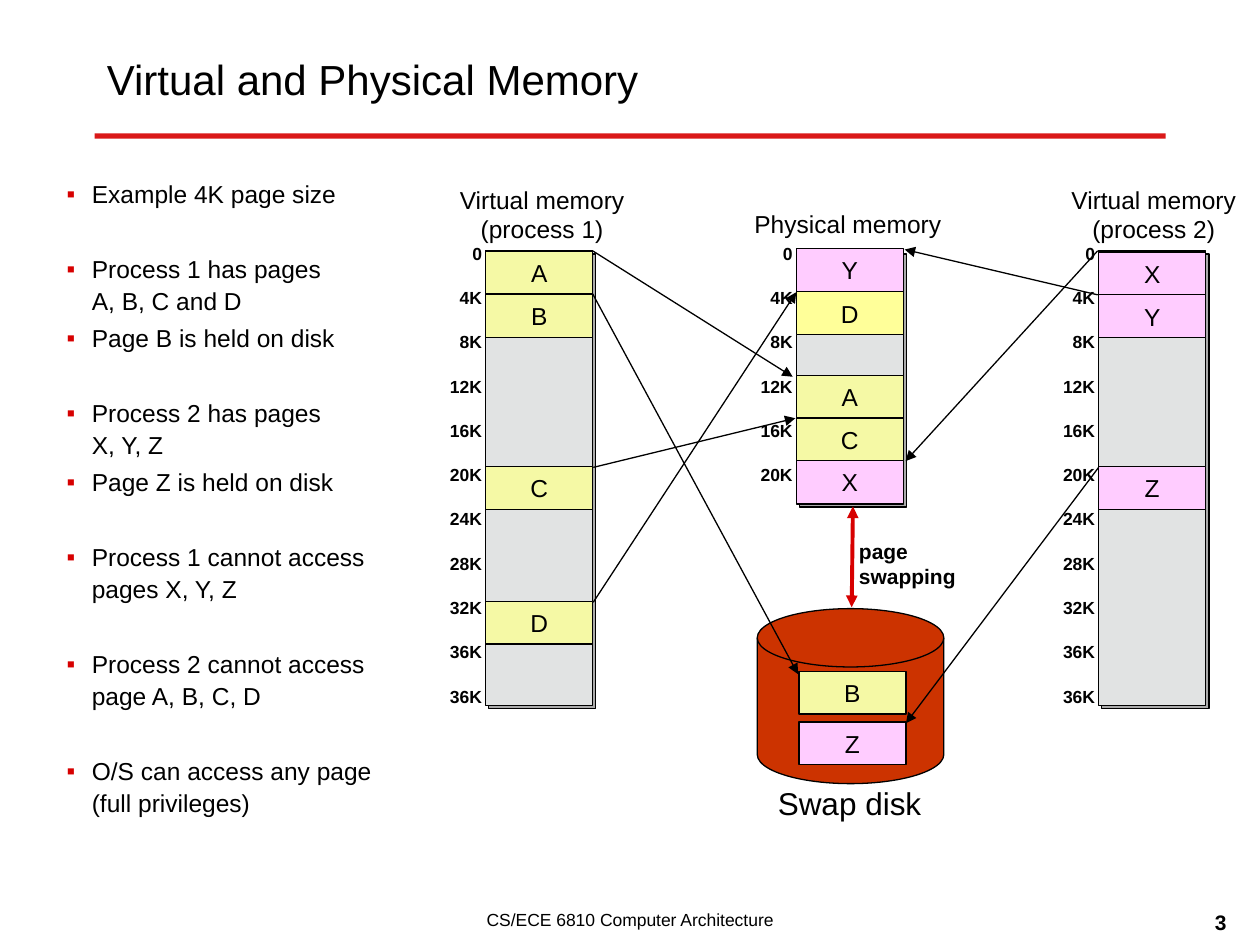
from lxml import etree
from pptx import Presentation
from pptx.dml.color import RGBColor
from pptx.enum.shapes import MSO_CONNECTOR as Connector, MSO_SHAPE as Shape
from pptx.enum.text import MSO_ANCHOR as Anchor, PP_ALIGN as Align
from pptx.oxml.ns import qn
from pptx.util import Pt

COLORS = {
    "ink": "000000", "red": "D70000", "disk": "CC3300",
    "shade": "ABABAB", "free": "E1E3E3",
    "process1": "F5F9A5", "held": "FFFF99", "process2": "FFCCFF",
}
FONT = "Arial"
PAGE_W, PAGE_H = 61.2, 24.5
MEMORY_TOP = 143.3
VIRTUAL_H, PHYSICAL_H = 260, 144.7
ADDRESSES = ["0", "4K", "8K", "12K", "16K", "20K", "24K", "28K", "32K", "36K", "36K"]
LABEL_TOP, LABEL_STEP = 135.2, 25.3
PROCESS1_X, PHYSICAL_X, PROCESS2_X, SWAP_X = 277.5, 455, 627.8, 456.5

# Each note is its text and whether it opens a new group.
NOTES = [
    ("Example 4K page size", False),
    ("Process 1 has pages \vA, B, C and D", True),
    ("Page B is held on disk", False),
    ("Process 2 has pages \vX, Y, Z", True),
    ("Page Z is held on disk", False),
    ("Process 1 cannot access pages X, Y, Z", True),
    ("Process 2 cannot access page A, B, C, D", True),
    ("O/S can access any page (full privileges)", True),
]
PAGES = [
    ("A", PROCESS1_X, 143.5, "process1"), ("B", PROCESS1_X, 168.3, "process1"),
    ("C", PROCESS1_X, 266.6, "process1"), ("D", PROCESS1_X, 343.6, "process1"),
    ("Y", PHYSICAL_X, 142, "process2"), ("D", PHYSICAL_X, 166.8, "held"),
    ("A", PHYSICAL_X, 214.5, "process1"), ("C", PHYSICAL_X, 238.9, "process1"),
    ("X", PHYSICAL_X, 263.1, "process2"),
    ("X", PROCESS2_X, 144, "process2"), ("Y", PROCESS2_X, 168.5, "process2"),
    ("Z", PROCESS2_X, 266.6, "process2"),
    ("B", SWAP_X, 383.6, "process1"), ("Z", SWAP_X, 412.6, "process2"),
]
MAPPINGS = [
    ((338.6, 143.3), (453, 215.3)), ((338.6, 167.8), (456, 385.2)),
    ((339, 267.1), (454.5, 239)), ((339, 344.2), (455, 167)),
    ((627.3, 143.3), (517.5, 263.5)), ((627.3, 168.5), (517, 142.6)),
    ((627.8, 267.1), (517.7, 413.3)),
]


def color(name):
    return RGBColor.from_string(COLORS[name])


def style(paragraph, size, bold=False, align=Align.LEFT):
    paragraph.alignment = align
    font = paragraph.font
    font.name, font.size, font.bold = FONT, Pt(size), bold
    font.color.rgb = color("ink")


def add_text(slide, box, lines, size, bold=False, align=Align.LEFT, anchor=Anchor.TOP):
    frame = slide.shapes.add_textbox(*map(Pt, box)).text_frame
    frame.word_wrap = True
    frame.vertical_anchor = anchor
    frame.text = lines
    for paragraph in frame.paragraphs:
        style(paragraph, size, bold, align)
    return frame


def add_block(slide, box, fill, kind=Shape.RECTANGLE):
    block = slide.shapes.add_shape(kind, *map(Pt, box))
    block.shadow.inherit = False
    block.fill.solid()
    block.fill.fore_color.rgb = color(fill)
    block.line.color.rgb = color("ink")
    block.line.width = Pt(0.75)
    return block


def add_page(slide, letter, left, top, fill):
    frame = add_block(slide, (left, top, PAGE_W, PAGE_H), fill).text_frame
    frame.margin_top = frame.margin_bottom = 0
    frame.vertical_anchor = Anchor.MIDDLE
    frame.text = letter
    style(frame.paragraphs[0], 14, align=Align.CENTER)


def add_memory(slide, left, height, addresses):
    """Draw an empty address space with its backing shade and address labels."""
    for offset, fill in ((1.8, "shade"), (0, "free")):
        add_block(slide, (left + offset, MEMORY_TOP + offset, PAGE_W, height), fill)
    for row, address in enumerate(addresses):
        label = (left - 45, LABEL_TOP + row * LABEL_STEP, 50, 19.4)
        add_text(slide, label, address, 10, True, Align.RIGHT)


def add_line(slide, start, end, ink="ink", width=0.75, heads=(), alpha=None):
    line = slide.shapes.add_connector(Connector.STRAIGHT, *map(Pt, start + end))
    line.line.color.rgb = color(ink)
    line.line.width = Pt(width)
    properties = line.line._get_or_add_ln()
    for head in heads:
        etree.SubElement(properties, qn(f"a:{head}"), type="triangle")
    if alpha:
        fill = properties.find(".//" + qn("a:srgbClr"))
        etree.SubElement(fill, qn("a:alpha"), val=str(alpha * 1000))
    etree.SubElement(line._element.spPr, qn("a:effectLst"))


def add_notes_list(slide):
    text = "\n".join(note for note, _ in NOTES)
    frame = add_text(slide, (31, 97.2, 204.5, 382.3), text, 14)
    for paragraph, (_, opens_group) in zip(frame.paragraphs, NOTES):
        paragraph.line_spacing = 1.1
        paragraph.space_before = Pt(24.2 if opens_group else 2.6)
        properties = paragraph._p.get_or_add_pPr()
        properties.set("marL", str(Pt(14.4)))
        properties.set("indent", str(-Pt(14.4)))
        bullet_color = etree.Element(qn("a:buClr"))
        etree.SubElement(bullet_color, qn("a:srgbClr"), val=COLORS["red"])
        bullet_font = etree.Element(qn("a:buFont"), typeface=FONT)
        bullet = etree.Element(qn("a:buChar"), char="▪")
        default_font = properties.find(qn("a:defRPr"))
        for part in (bullet_color, bullet_font, bullet):
            default_font.addprevious(part)


def add_swap_disk(slide):
    add_block(slide, (432.7, 347.8, 106.6, 100), "disk", Shape.FLOWCHART_MAGNETIC_DISK)
    add_text(slide, (426, 444.7, 119, 29), "Swap disk", 18, align=Align.CENTER)
    add_line(slide, (486.7, 347), (487.4, 289.4), "red", 2.25, ("headEnd", "tailEnd"))
    add_text(slide, (483.8, 304.2, 80, 36), "page\nswapping", 12, True)


def main():
    deck = Presentation()
    deck.slide_width, deck.slide_height = Pt(720), Pt(540)
    slide = deck.slides.add_slide(deck.slide_layouts[6])

    add_line(slide, (54, 77.8), (666, 77.8), "red", 3, alpha=89)
    add_text(slide, (54, 12, 600, 66), "Virtual and Physical Memory", 24,
             anchor=Anchor.MIDDLE)
    add_notes_list(slide)

    add_text(slide, (414.5, 116, 140, 24), "Physical memory", 14, align=Align.CENTER)
    add_memory(slide, PHYSICAL_X, PHYSICAL_H, ADDRESSES[:6])
    for number, left, title_left in ((1, PROCESS1_X, 249.8), (2, PROCESS2_X, 599.3)):
        add_text(slide, (title_left, 102.2, 120, 41), f"Virtual memory\n(process {number})",
                 14, align=Align.CENTER)
        add_memory(slide, left, VIRTUAL_H, ADDRESSES)

    add_swap_disk(slide)
    for page in PAGES:
        add_page(slide, *page)
    for start, end in MAPPINGS:
        add_line(slide, start, end, heads=("tailEnd",))

    add_text(slide, (228, 516, 264, 24), "CS/ECE 6810 Computer Architecture", 10,
             align=Align.CENTER)
    add_text(slide, (558, 516, 150, 24), "3", 12, True, Align.RIGHT)
    deck.save("out.pptx")


if __name__ == "__main__":
    main()
